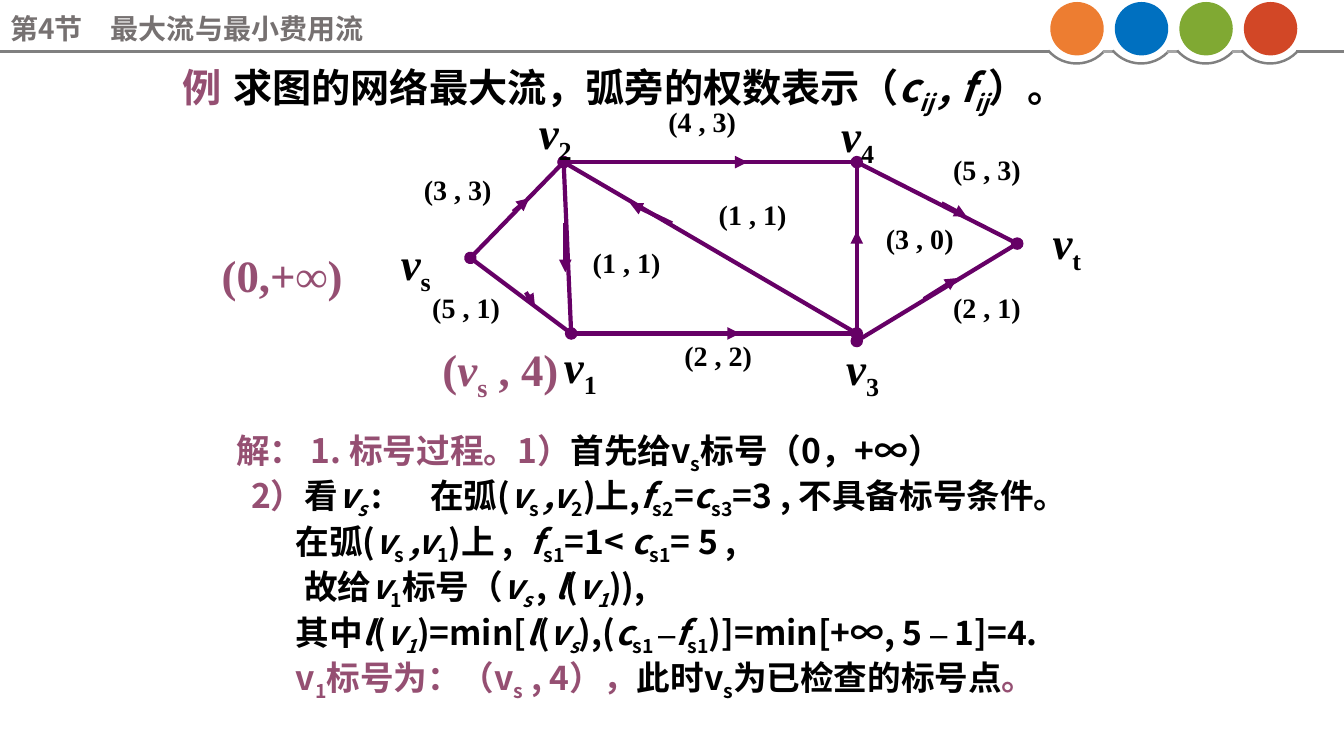
from lxml import etree
from pptx import Presentation
from pptx import util as u
from pptx.dml.color import RGBColor
from pptx.enum import shapes, text
from pptx.oxml.ns import qn

COLORS = {"edge": "660066", "accent": "954F72", "ink": "000000", "header": "767171",
          "rule": "808080", "gap": "A6A6A6"}
DISCS = ["ED7D31", "0070C0", "80A933", "D24726"]
SANS, SERIF = "Noto Sans CJK SC", "Times New Roman"
COLUMNS, ROWS = 160, 90

# Run styles: i italic, _ subscript, a accent colour, t serif font
HEADER = [("第4节\t最大流与最小费用流", "")]
QUESTION = [("例\t", "a"), ("求图的网络最大流，弧旁的权数表示（", ""), ("c", "i"), ("ij ", "i_"),
            (", f", "i"), ("ij", "i_"), ("）。", "")]
SOLUTION = [
    (0.9, None, [("解： 1. 标号过程。1）", "a"), ("首先给v", ""), ("s", "_"), ("标号（0，+∞）", "")]),
    (2.7, 23, [("2）", "a"), ("看", ""), ("v", "i"), ("s ", "i_"), (":\t在弧(", ""), ("v", "i"),
               ("s ", "_"), (",v", "i"), ("2", "_"), (")上,", ""), ("f", "i"), ("s2", "_"),
               ("=", ""), ("c", "i"), ("s3", "_"), ("=3 , 不具备标号条件。", "")]),
    (8, 39, [("在弧(", ""), ("v", "i"), ("s ", "_"), (",v", "i"), ("1", "_"), (")上 ,\t", ""),
             ("f", "i"), ("s1", "_"), ("=1< ", ""), ("c", "i"), ("s1", "_"), ("= 5 ,", "")]),
    (9, None, [("故给", ""), ("v", "i"), ("1", "_"), ("标号（", ""), ("v", "i"), ("s ", "i_"),
               (", ", ""), ("l", "i"), ("(", ""), ("v", "i"), ("1", "i_"), (")),", "")]),
    (8, None, [("其中", ""), ("l", "i"), ("(", ""), ("v", "i"), ("1", "i_"), (")=min[", ""),
               ("l", "i"), ("(", ""), ("v", "i"), ("s", "i_"), ("),(", ""), ("c", "i"),
               ("s1 ", "_"), ("–", "t"), ("f", "i"), ("s1", "_"), (")]=min[+∞, 5 ", ""),
               ("–", "t"), (" 1]=4.", "")]),
    (8, None, [("v", "a"), ("1", "a_"), ("标号为：（v", "a"), ("s", "a_"), (" , 4），", "a"),
               ("此时v", ""), ("s", "_"), ("为已检查的标号点", ""), ("。", "a")]),
]
NODES = {"s": (56, 30.7), "1": (68, 39.7), "2": (67.1, 19.3), "3": (102, 39.7),
         "3 low": (102, 40.6), "4": (102, 19.3), "t": (121.1, 29)}
DOTTED_EDGES = [("s", "2"), ("2", "4"), ("1", "3"), ("t", "3 low")]
PLAIN_EDGES = [("s", "1"), ("4", "3 low"), ("4", "t"), ("2", "1"), ("2", "3")]
ARROWS = [(61.1, 25.2, 63, 23.6), (62.6, 34.8, 63.7, 36.5), (83, 19.3, 89, 19.3),
          (81, 39.7, 88.1, 39.7), (80, 26.6, 75, 24.2), (102, 31.6, 102, 27.5),
          (112.1, 24.2, 115.1, 25.8), (110, 35.6, 114, 33.1), (67.3, 26.6, 67.3, 32.4)]
NODE_LABELS = [("s", 44.5, 27.5), ("1", 64.1, 39.7), ("2", 61.1, 11.9), ("3", 97.7, 40),
               ("4", 97.1, 12.2), ("t", 122, 25)]
WEIGHTS = [("(3 , 3)", 47, 20), ("(5 , 1)", 48, 34), ("(4 , 3)", 76.1, 11.9),
           ("(1 , 1)", 82.1, 22.9), ("(1 , 1)", 67.1, 28.6), ("(2 , 2)", 78, 39.7),
           ("(3 , 0)", 102, 25.8), ("(5 , 3)", 110, 17.6), ("(2 , 1)", 110, 34)]
MARKS = [([("(", "a"), ("v", "ai"), ("s", "a_"), (" , 4)", "a")], (51.5, 40.1, 21, 7.6)),
         ([("(0,+∞)", "a")], (25.2, 28.9, 26, 7.6))]

deck = Presentation()
deck.slide_width, deck.slide_height = u.Inches(13.33), u.Inches(7.5)
page = deck.slides.add_slide(deck.slide_layouts[1])


def across(columns):
    return int(deck.slide_width * columns / COLUMNS)


def down(rows):
    return int(deck.slide_height * rows / ROWS)


def place(box, left, top, width, height):
    box.left, box.top = across(left), down(top)
    box.width, box.height = across(width), down(height)


def write(para, runs, size, font=SANS, color="ink", align=text.PP_ALIGN.LEFT,
          indent=0, tab=None, spacing=None, before=0):
    props = para._p.get_or_add_pPr()
    props.set("marL", "0")
    props.set("indent", str(across(indent)))
    etree.SubElement(props, qn("a:buNone"))
    if tab:
        stops = etree.SubElement(props, qn("a:tabLst"))
        etree.SubElement(stops, qn("a:tab"), pos=str(across(tab)), algn="l")
    para.alignment = align
    para.space_before = u.Pt(before)
    if spacing:
        para.line_spacing = spacing
    for words, style in runs:
        span = para.add_run()
        span.text = words
        face = SERIF if "t" in style else font
        span.font.name, span.font.size = face, u.Pt(size)
        span.font.bold, span.font.italic = True, "i" in style
        span.font.color.rgb = RGBColor.from_string(COLORS["accent" if "a" in style else color])
        etree.SubElement(span._r.rPr, qn("a:ea"), typeface=face)
        if "_" in style:
            span._r.rPr.set("baseline", "-25000")


def add_text(runs, area, size, **options):
    box = page.shapes.add_textbox(0, 0, 0, 0)
    place(box, *area)
    box.text_frame.word_wrap = True
    box.text_frame.auto_size = text.MSO_AUTO_SIZE.SHAPE_TO_FIT_TEXT
    write(box.text_frame.paragraphs[0], runs, size, **options)


def add_line(x1, y1, x2, y2, color="edge", width=3, head=None, tail=None):
    line = page.shapes.add_connector(shapes.MSO_CONNECTOR.STRAIGHT,
                                     across(x1), down(y1), across(x2), down(y2))
    line.line.color.rgb = RGBColor.from_string(COLORS[color])
    line.line.width = u.Pt(width)
    for tag, kind in (("a:headEnd", head), ("a:tailEnd", tail)):
        if kind:
            etree.SubElement(line.line._ln, qn(tag), type=kind)
    etree.SubElement(line._element.spPr, qn("a:effectLst"))


def add_preset(kind, left, top, size):
    shape = page.shapes.add_shape(kind, 0, 0, 0, 0)
    place(shape, left, top, size, size)
    shape.shadow.inherit = False
    return shape


title, body = page.placeholders
place(title, 0, 1.2, 131.5, 4.3)
title.text_frame.auto_size = text.MSO_AUTO_SIZE.NONE
title.text_frame.vertical_anchor = text.MSO_ANCHOR.MIDDLE
write(title.text_frame.paragraphs[0], HEADER, 20, color="header", tab=11.8)

place(body, 26, 50.6, 114, 32.3)
body.text_frame.auto_size = text.MSO_AUTO_SIZE.NONE
for row, (indent, tab, runs) in enumerate(SOLUTION):
    para = body.text_frame.add_paragraph() if row else body.text_frame.paragraphs[0]
    write(para, runs, 24, align=text.PP_ALIGN.JUSTIFY, indent=indent, tab=tab,
          spacing=0.9, before=3 if row else 0)

for start, end in DOTTED_EDGES:
    add_line(*NODES[start], *NODES[end], head="oval", tail="oval")
for start, end in PLAIN_EDGES:
    add_line(*NODES[start], *NODES[end])
for arrow in ARROWS:
    add_line(*arrow, tail="triangle")

for name, left, top in NODE_LABELS:
    add_text([("v", "i"), (name, "_")], (left, top, 10, 7.6), 32, font=SERIF,
             align=text.PP_ALIGN.CENTER)
for weight, left, top in WEIGHTS:
    add_text([(weight, "")], (left, top, 15, 5.2), 20, font=SERIF, align=text.PP_ALIGN.CENTER)
add_text(QUESTION, (20.6, 8.5, 113.9, 4.6), 28, tab=7.8, spacing=0.6)
for runs, area in MARKS:
    add_text(runs, area, 32, font=SERIF)

PITCH, RULE_Y, RULE_WIDTH = 7.68, 6.12, 1.77
add_line(124.92, RULE_Y, 0, RULE_Y, "rule", RULE_WIDTH)
for index, color in enumerate(DISCS):
    shift = index * PITCH
    arc = add_preset(shapes.MSO_SHAPE.ARC, 123.72 + shift, -1.32, 8.88)
    arc.adjustments[0], arc.adjustments[1] = 25.38, 83.6
    arc.fill.background()
    arc.line.color.rgb = RGBColor.from_string(COLORS["rule"])
    arc.line.width = u.Pt(RULE_WIDTH)
    disc = add_preset(shapes.MSO_SHAPE.OVAL, 125.04 + shift, 0.24, 6.36)
    disc.fill.solid()
    disc.fill.fore_color.rgb = RGBColor.from_string(color)
    disc.line.fill.background()
    last = index == len(DISCS) - 1
    add_line(131.28 + shift, RULE_Y, COLUMNS if last else 132.6 + shift, RULE_Y,
             "rule" if last else "gap", RULE_WIDTH)

deck.save("out.pptx")
